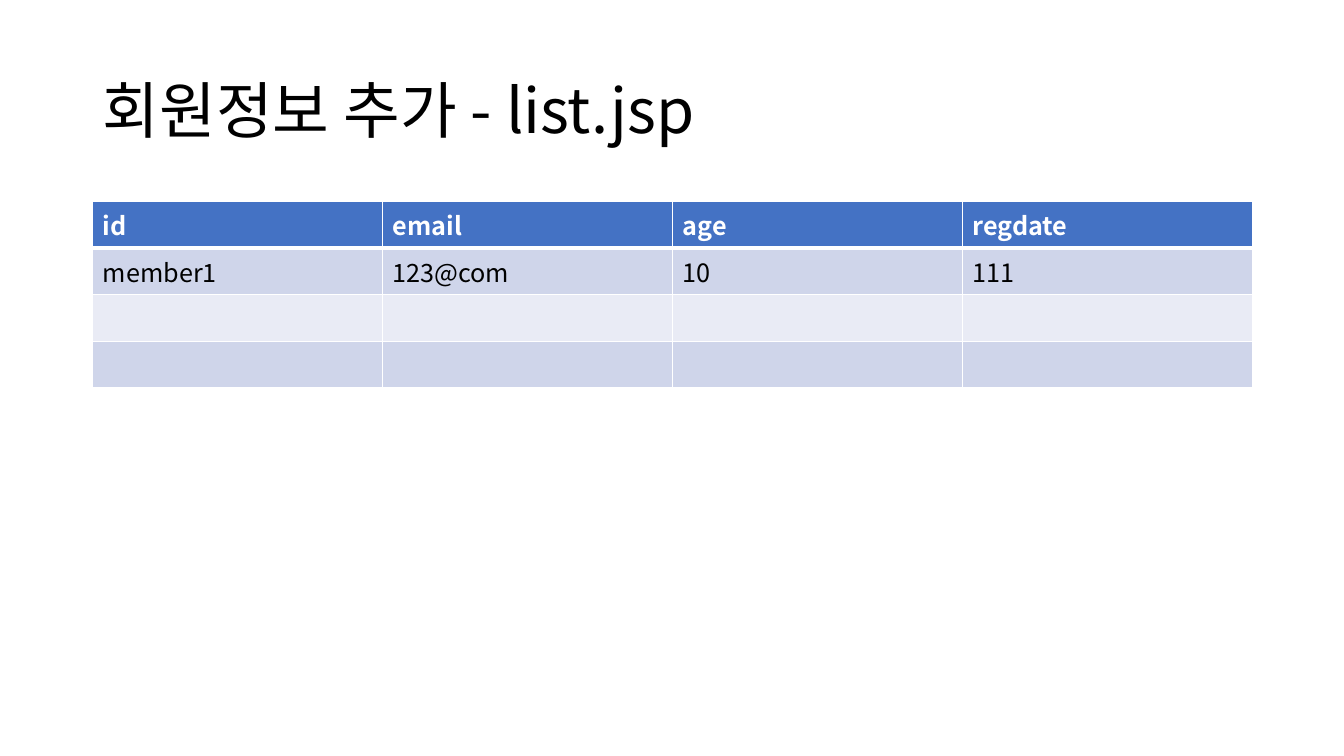
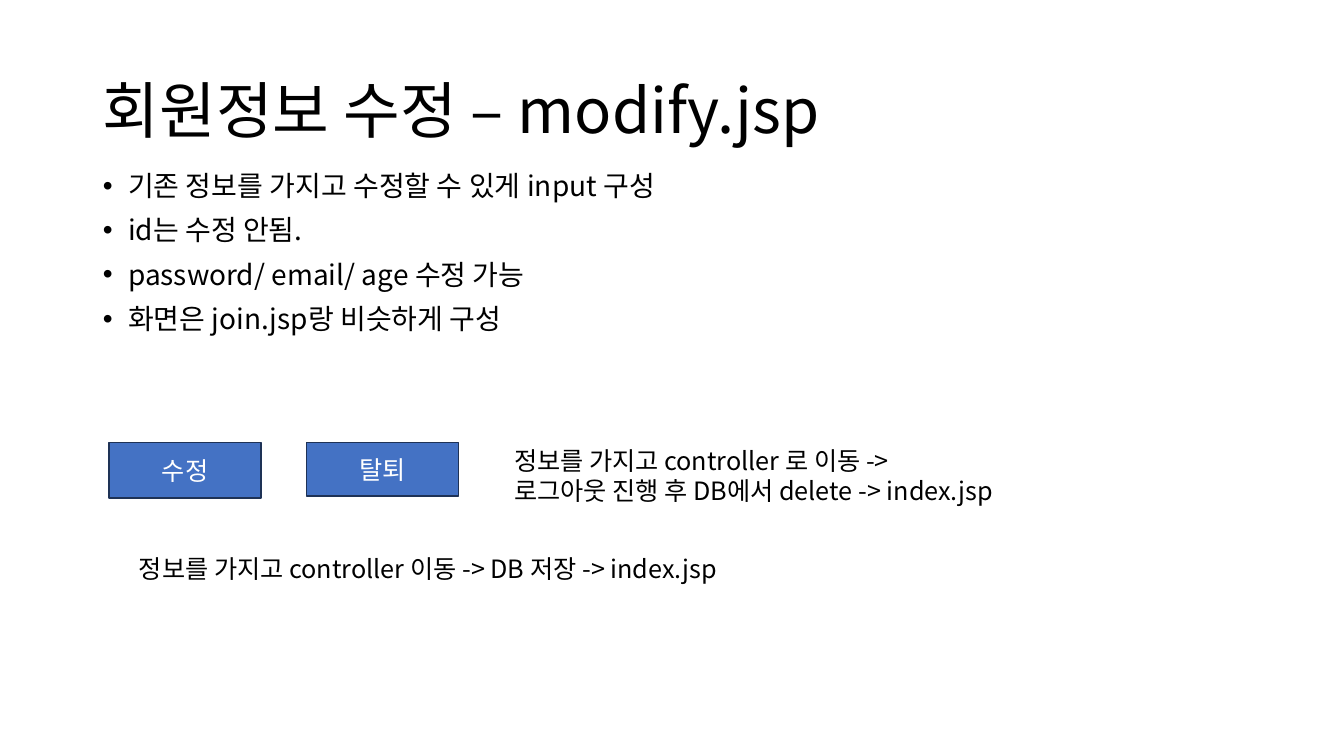
"""Build two slides on the member list page and the member edit page."""
from lxml.etree import SubElement
from pptx import Presentation
from pptx.dml.color import RGBColor
from pptx.enum.shapes import MSO_SHAPE as Shape
from pptx.enum.text import MSO_ANCHOR as Anchor, MSO_AUTO_SIZE as Fit, PP_ALIGN as Align
from pptx.oxml.ns import qn
from pptx.util import Inches, Pt

FONT = "Noto Sans CJK KR"
BLACK = RGBColor(0x00, 0x00, 0x00)
WHITE = RGBColor(0xFF, 0xFF, 0xFF)
BLUE = RGBColor(0x44, 0x72, 0xC4)
NAVY = RGBColor(0x1E, 0x32, 0x56)
BANDS = [RGBColor(0xCF, 0xD5, 0xEA), RGBColor(0xE9, 0xEB, 0xF5)]

TITLE_LAYOUT, CONTENT_LAYOUT = 5, 1
LEFT, WIDTH = 0.92, 11.5
ROW_HEIGHT = 0.46
BUTTON_LEFT, BUTTON_TOP, BUTTON_WIDTH, BUTTON_STEP = 1.08, 4.39, 1.51, 1.96


def write(frame, lines, size=18, color=BLACK, bold=False, **layout):
    """Fill a text frame with one paragraph a line."""
    frame.text = "\n".join(lines)
    for para in frame.paragraphs:
        for name, value in layout.items():
            setattr(para, name, value)
        for span in para.runs:
            for name, value in {"name": FONT, "size": Pt(size), "bold": bold}.items():
                setattr(span.font, name, value)
            span.font.color.rgb = color
            SubElement(span.font._element, qn("a:ea"), typeface=FONT)


def place(box, left, top, width, height):
    """Move and size a shape, in inches."""
    sides = {"left": left, "top": top, "width": width, "height": height}
    for name, value in sides.items():
        setattr(box, name, Inches(value))


deck = Presentation()
deck.slide_width, deck.slide_height = Inches(13.33), Inches(7.5)

pages = []
for layout, heading in [
    (TITLE_LAYOUT, "회원정보 추가 - list.jsp"),
    (CONTENT_LAYOUT, "회원정보 수정 – modify.jsp"),
]:
    page = deck.slides.add_slide(deck.slide_layouts[layout])
    title = page.shapes.title
    place(title, LEFT, 0.4, WIDTH, 1.45)
    write(title.text_frame, [heading], 44, alignment=Align.LEFT, line_spacing=0.9)
    title.text_frame.vertical_anchor = Anchor.MIDDLE
    title.text_frame.auto_size = Fit.NONE
    pages.append(page)
list_page, modify_page = pages

rows = [
    ["id", "email", "age", "regdate"],
    ["member1", "123@com", "10", "111"],
    [""] * 4,
    [""] * 4,
]
table = list_page.shapes.add_table(
    len(rows), len(rows[0]), Inches(LEFT), Inches(2),
    Inches(WIDTH), Inches(ROW_HEIGHT * len(rows)),
).table
for row_index, row in enumerate(rows):
    header = row_index == 0
    for column_index, text in enumerate(row):
        cell = table.cell(row_index, column_index)
        write(cell.text_frame, [text], color=WHITE if header else BLACK, bold=header)
        borders = {"lnL": 1, "lnR": 1, "lnT": 3 if row_index == 1 else 1, "lnB": 3 if header else 1}
        for side, points in borders.items():
            line = SubElement(cell._tc.get_or_add_tcPr(), qn(f"a:{side}"), w=str(Pt(points)))
            SubElement(SubElement(line, qn("a:solidFill")), qn("a:srgbClr"), val=str(WHITE))
        cell.fill.solid()
        cell.fill.fore_color.rgb = BLUE if header else BANDS[(row_index - 1) % 2]

body = modify_page.placeholders[1]
place(body, LEFT, 1.66, 10.02, 2.71)
rules = [
    "기존 정보를 가지고 수정할 수 있게 input 구성",
    "id는 수정 안됨.",
    "password/ email/ age 수정 가능",
    "화면은 join.jsp랑 비슷하게 구성",
]
write(body.text_frame, rules, 20, line_spacing=0.9, space_before=Pt(10))
body.text_frame.auto_size = Fit.NONE
for para in body.text_frame.paragraphs:
    properties = para._p.get_or_add_pPr()
    for name, inches in {"marL": 0.25, "indent": -0.25}.items():
        properties.set(name, str(Inches(inches)))

for index, (label, height) in enumerate([("수정", 0.55), ("탈퇴", 0.53)]):
    button = modify_page.shapes.add_shape(Shape.RECTANGLE, 0, 0, 0, 0)
    place(button, BUTTON_LEFT + index * BUTTON_STEP, BUTTON_TOP, BUTTON_WIDTH, height)
    button.shadow.inherit = False
    button.fill.solid()
    button.fill.fore_color.rgb = BLUE
    button.line.color.rgb = NAVY
    button.line.width = Pt(1)
    write(button.text_frame, [label], color=WHITE, alignment=Align.CENTER)
    button.text_frame.vertical_anchor = Anchor.MIDDLE

notes = [
    ((1.28, 5.44, 6.35, 0.4), ["정보를 가지고 controller 이동 -> DB 저장 -> index.jsp"]),
    ((5, 4.37, 6.79, 0.71), [
        "정보를 가지고 controller 로 이동 ->",
        "로그아웃 진행 후 DB에서 delete -> index.jsp",
    ]),
]
for area, lines in notes:
    box = modify_page.shapes.add_textbox(0, 0, 0, 0)
    place(box, *area)
    box.text_frame.word_wrap = True
    box.text_frame.auto_size = Fit.SHAPE_TO_FIT_TEXT
    write(box.text_frame, lines)

deck.save("out.pptx")
